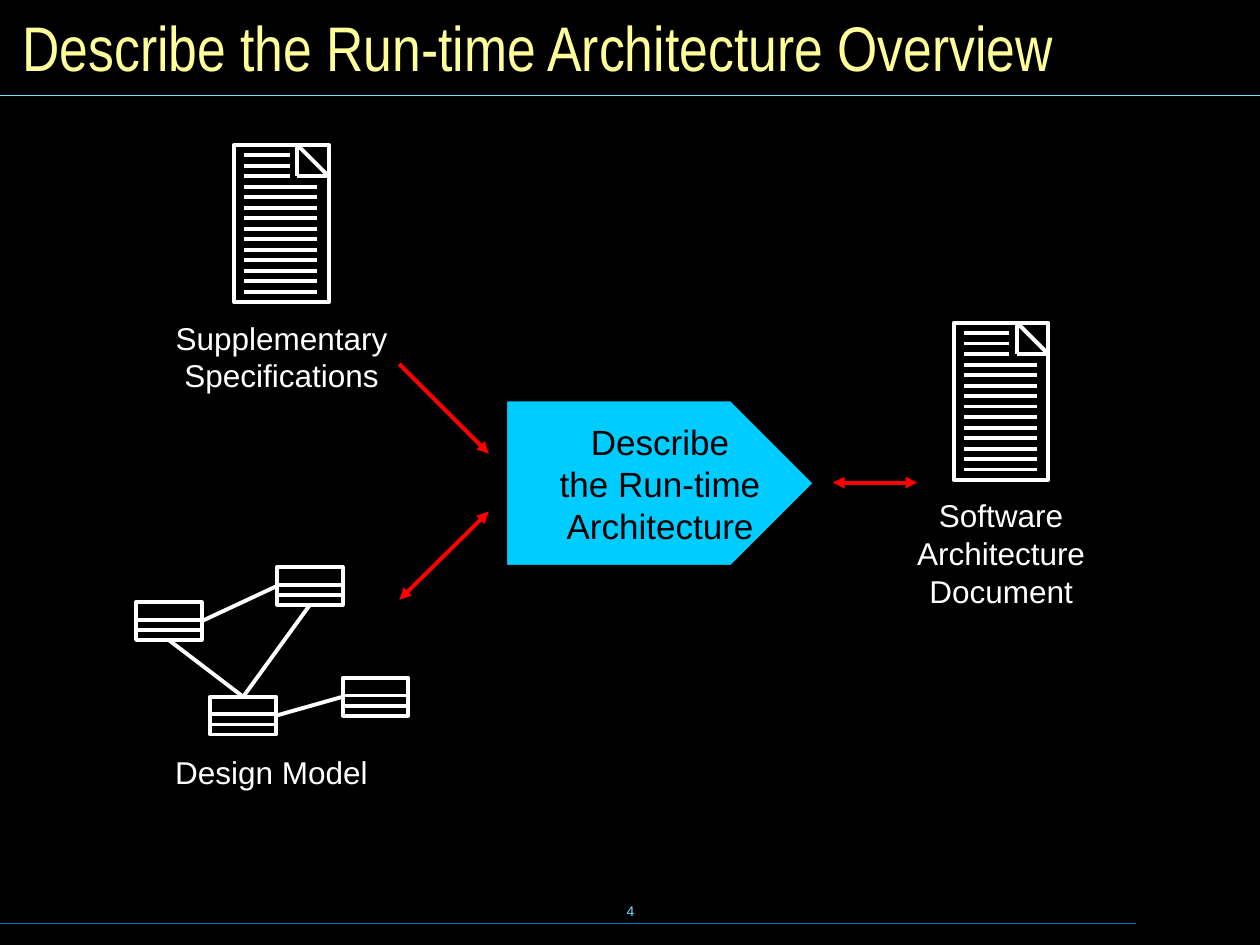
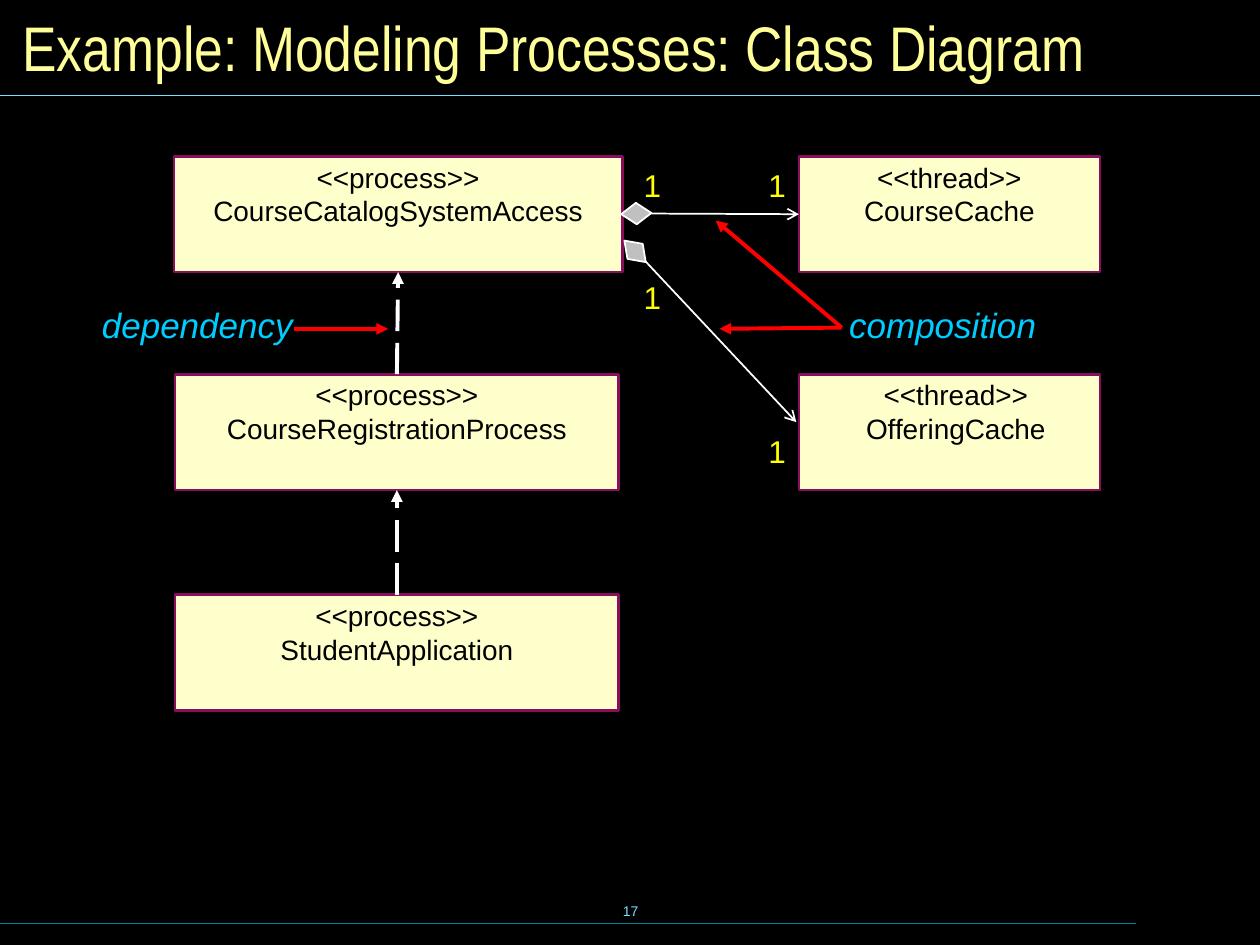
from lxml import etree
from pptx import Presentation
from pptx.dml.color import RGBColor
from pptx.enum.dml import MSO_LINE
from pptx.enum.shapes import MSO_CONNECTOR, MSO_SHAPE
from pptx.enum.text import MSO_ANCHOR, PP_ALIGN
from pptx.oxml.ns import qn
from pptx.util import Inches, Pt

COLORS = {
    "black": "000000", "white": "FFFFFF", "title": "FFFF99", "rule": "73E1FF",
    "footer_rule": "007E9F", "cyan": "00CCFF", "red": "FF0000", "class_fill": "FFFFCC",
    "class_edge": "8A0E5E", "diamond": "C0C0C0", "multiplicity": "FFFF00",
}
TOP, LEFT, BOTTOM, RIGHT = range(4)
BOLD_LINE = 2.25


def rgb(name):
    return RGBColor.from_string(COLORS[name])


def write(shape, text, size=18, color="white", font="Arial", italic=False,
          align=PP_ALIGN.CENTER, anchor=MSO_ANCHOR.TOP, wrap=False,
          insets=(0.1, 0.05, 0.1, 0.05)):
    """Fill a shape with text, one paragraph for each line."""
    frame = shape.text_frame
    frame.word_wrap = wrap
    frame.vertical_anchor = anchor
    (frame.margin_left, frame.margin_top,
     frame.margin_right, frame.margin_bottom) = map(Inches, insets)
    frame.text = text
    for paragraph in frame.paragraphs:
        paragraph.alignment = align
        paragraph.font.size = Pt(size)
        paragraph.font.name = font
        paragraph.font.italic = italic
        paragraph.font.color.rgb = rgb(color)


def add_label(canvas, box, text, **text_format):
    write(canvas.add_textbox(*map(Inches, box)), text, **text_format)


def add_block(canvas, box, kind=MSO_SHAPE.RECTANGLE, fill=None, edge="white", width=BOLD_LINE):
    block = canvas.add_shape(kind, *map(Inches, box))
    block.shadow.inherit = False
    if fill:
        block.fill.solid()
        block.fill.fore_color.rgb = rgb(fill)
    else:
        block.fill.background()
    block.line.color.rgb = rgb(edge)
    block.line.width = Pt(width)
    return block


def style_line(connector, color="white", width=BOLD_LINE, dash=None, head=None, tail=None):
    connector.line.color.rgb = rgb(color)
    connector.line.width = Pt(width)
    if dash:
        connector.line.dash_style = dash
    outline = connector.line._get_or_add_ln()
    for tag, arrow in (("a:headEnd", head), ("a:tailEnd", tail)):
        if arrow:
            etree.SubElement(outline, qn(tag)).set("type", arrow)
    etree.SubElement(connector._element.spPr, qn("a:effectLst"))


def add_line(canvas, start, end, **line_format):
    connector = canvas.add_connector(MSO_CONNECTOR.STRAIGHT, *map(Inches, (*start, *end)))
    style_line(connector, **line_format)


def join(canvas, start, start_side, end, end_side, **line_format):
    """Connect the middles of two shapes' sides."""
    connector = canvas.add_connector(
        MSO_CONNECTOR.STRAIGHT, start.left, start.top, end.left, end.top)
    connector.begin_connect(start, start_side)
    connector.end_connect(end, end_side)
    style_line(connector, **line_format)


def add_titled_slide(deck, title, number):
    slide = deck.slides.add_slide(deck.slide_layouts[6])
    slide.background.fill.solid()
    slide.background.fill.fore_color.rgb = rgb("black")
    canvas = slide.shapes
    add_label(canvas, (3.42, 6.98, 3.17, 0.5), str(number), size=8, color="rule",
              anchor=MSO_ANCHOR.MIDDLE)
    add_line(canvas, (0, 7.33), (9.02, 7.33), color="footer_rule", width=0.75)
    add_line(canvas, (0, 0.76), (10, 0.76), color="rule", width=0.75)
    add_label(canvas, (0.08, 0.08, 9.84, 0.58), title, size=36, color="title",
              font="Arial Narrow", align=PP_ALIGN.LEFT, anchor=MSO_ANCHOR.MIDDLE, wrap=True)
    return canvas


def add_document(slide_canvas, left, top, caption):
    """Draw a written page with a folded corner and its caption."""
    canvas = slide_canvas.add_group_shape().shapes
    width, height, fold, margin = 0.75, 1.25, 0.25, 0.08
    right = left + width
    add_block(canvas, (left, top, width, height))
    corner, crease, edge = (right - fold, top), (right - fold, top + fold), (right, top + fold)
    for start, end in ((corner, edge), (corner, crease), (edge, crease)):
        add_line(canvas, start, end)
    row_gap = height / 15
    for row in range(1, 15):
        y = top + row * row_gap
        row_end = right - margin - 0.01 if row > 3 else right - fold - 0.06
        add_line(canvas, (left + margin, y), (row_end, y))
    caption_width = 1.88
    caption_height = 0.1 + 0.3 * len(caption.splitlines())
    add_label(canvas, (left + (width - caption_width) / 2, top + 1.33,
                       caption_width, caption_height), caption)


def add_model_class(canvas, left, top):
    width = 0.52
    model_class = add_block(canvas, (left, top, width, 0.3))
    for offset in (0.14, 0.22):
        add_line(canvas, (left, top + offset), (left + width, top + offset))
    return model_class


def add_design_model(slide_canvas, left, top):
    canvas = slide_canvas.add_group_shape().shapes
    offsets = ((0, 0.28), (1.12, 0), (0.59, 1.03), (1.64, 0.88))
    west, north, south, east = [add_model_class(canvas, left + x, top + y) for x, y in offsets]
    join(canvas, south, TOP, west, BOTTOM)
    join(canvas, west, RIGHT, north, LEFT)
    join(canvas, south, RIGHT, east, LEFT)
    join(canvas, south, TOP, north, BOTTOM)
    add_label(canvas, (left + 0.21, top + 1.43, 1.73, 0.4), "Design Model")


def add_activity(canvas, box, text):
    activity = add_block(canvas, box, MSO_SHAPE.PENTAGON, fill="cyan", edge="black")
    write(activity, text, size=20, color="black", anchor=MSO_ANCHOR.MIDDLE,
          insets=(0.43, 0.05, 0.1, 0.05))


def build_overview(deck):
    canvas = add_titled_slide(deck, "Describe the Run-time Architecture Overview", 4)
    add_activity(canvas, (4.01, 3.17, 2.46, 1.33), "Describe\nthe Run-time\nArchitecture")
    add_document(canvas, 1.86, 1.15, "Supplementary\nSpecifications")
    add_document(canvas, 7.57, 2.56, "Software\nArchitecture\nDocument")
    add_design_model(canvas, 1.08, 4.5)
    for start, end, head in (((6.61, 3.83), (7.28, 3.83), "triangle"),
                             ((3.17, 4.76), (3.88, 4.06), "triangle"),
                             ((3.17, 2.89), (3.88, 3.6), None)):
        add_line(canvas, start, end, color="red", head=head, tail="triangle")


def add_uml_class(canvas, left, top, width, stereotype, name, nudge=0):
    uml_class = add_block(canvas, (left, top, width, 0.92), fill="class_fill",
                          edge="class_edge", width=1.5)
    write(uml_class, f"<<{stereotype}>>\n{name}", size=16, color="black",
          insets=(0.1 + nudge, 0.03, 0.1, 0.05))
    return uml_class


def add_diamond(canvas, left, top, rotation):
    diamond = add_block(canvas, (left, top, 0.24, 0.17), MSO_SHAPE.DIAMOND,
                        fill="diamond", width=1)
    diamond.rotation = rotation
    return diamond


def add_annotation(canvas, left, text, arrow_start, arrow_tips):
    """Name a relationship and point at its lines."""
    add_label(canvas, (left, 2.36, 1.75, 0.44), text, size=20, color="cyan", italic=True,
              align=PP_ALIGN.LEFT, wrap=True)
    for tip in arrow_tips:
        add_line(canvas, arrow_start, tip, color="red", tail="triangle")


def build_class_diagram(deck):
    canvas = add_titled_slide(deck, "Example: Modeling Processes: Class Diagram", 17)
    upper, middle, lower = 1.24, 2.97, 4.72
    catalog = add_uml_class(canvas, 1.38, upper, 3.56, "process", "CourseCatalogSystemAccess")
    registration = add_uml_class(canvas, 1.39, middle, 3.52, "process",
                                 "CourseRegistrationProcess")
    student = add_uml_class(canvas, 1.39, lower, 3.52, "process", "StudentApplication")
    course_cache = add_uml_class(canvas, 6.34, upper, 2.39, "thread", "CourseCache")
    add_uml_class(canvas, 6.34, middle, 2.39, "thread", "OfferingCache", nudge=0.1)

    for client, supplier in ((registration, catalog), (student, registration)):
        join(canvas, client, TOP, supplier, BOTTOM, dash=MSO_LINE.LONG_DASH, tail="triangle")

    add_line(canvas, (5.1, 2.05), (6.32, 3.35), width=1, tail="arrow")
    add_diamond(canvas, 4.92, 1.91, 45.3)
    course_whole = add_diamond(canvas, 4.93, 1.61, 357.7)
    join(canvas, course_whole, RIGHT, course_cache, LEFT, width=1, tail="arrow")
    for left, top in ((6, 1.27), (5.01, 1.27), (5.01, 2.16), (6, 3.38)):
        add_label(canvas, (left, top, 0.33, 0.4), "1", color="multiplicity",
                  align=PP_ALIGN.LEFT, wrap=True)

    add_annotation(canvas, 0.71, "dependency", (2.33, 2.61), [(3.08, 2.61)])
    add_annotation(canvas, 6.64, "composition", (6.68, 2.6), [(5.71, 2.61), (5.68, 1.75)])


def main():
    deck = Presentation()
    deck.slide_width, deck.slide_height = Inches(10), Inches(7.5)
    build_overview(deck)
    build_class_diagram(deck)
    deck.save("out.pptx")


if __name__ == "__main__":
    main()
